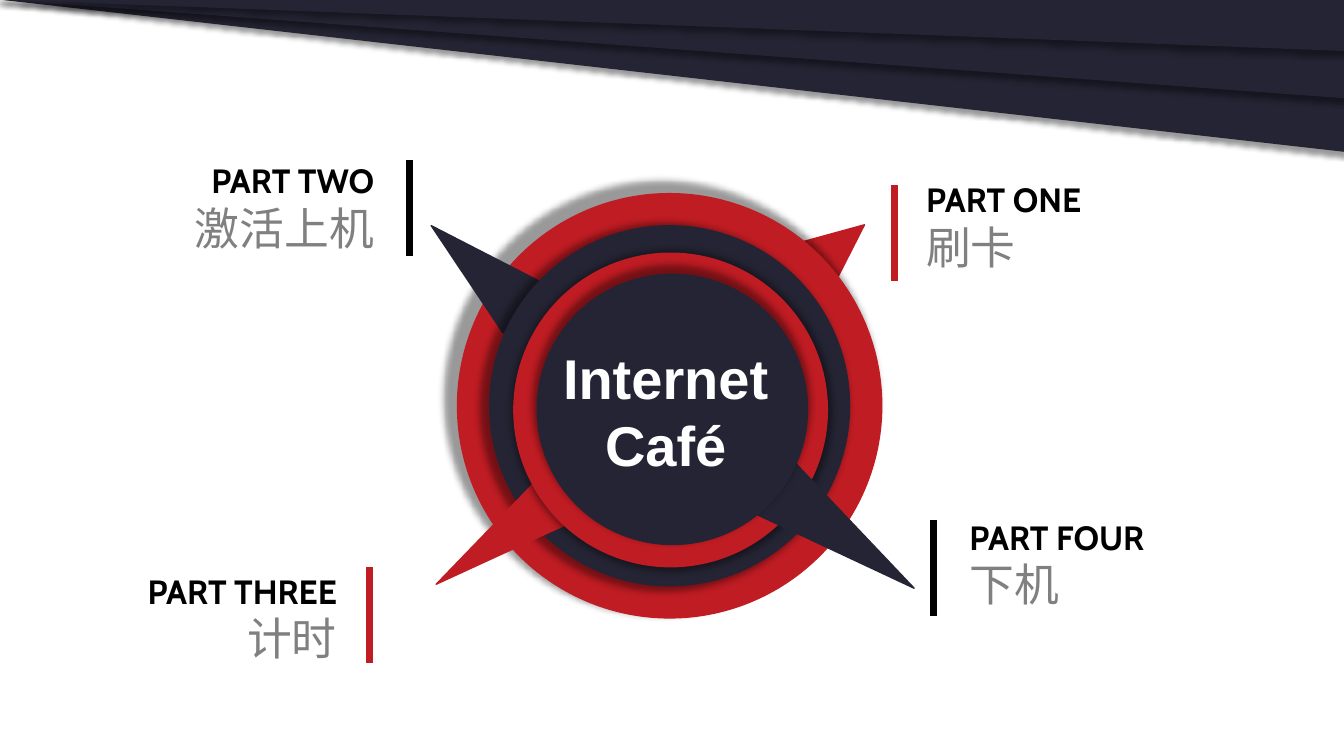
from lxml import etree
from pptx import Presentation
from pptx.dml.color import RGBColor
from pptx.enum import shapes, text
from pptx.oxml import ns
from pptx.util import Cm, Pt

RED = RGBColor(0xC0, 0x1C, 0x23)
NAVY = RGBColor(0x25, 0x24, 0x34)
BLACK = RGBColor(0, 0, 0)
GRAY = RGBColor(0x80, 0x80, 0x80)
WHITE = RGBColor(0xFF, 0xFF, 0xFF)

MSO = shapes.MSO_SHAPE
LEFT, CENTER, RIGHT = text.PP_ALIGN.LEFT, text.PP_ALIGN.CENTER, text.PP_ALIGN.RIGHT
DISC_SHADOW = dict(blurRad=63500, sx=102000, sy=102000, algn="ctr", rotWithShape=0)
BANNER_SHADOW = dict(blurRad=50800, dist=38100, dir=5400000, algn="t", rotWithShape=0)


def add_shadow(sp, settings):
    effects = etree.SubElement(sp._element.spPr, ns.qn("a:effectLst"))
    shadow = etree.SubElement(effects, ns.qn("a:outerShdw"),
                              {k: str(v) for k, v in settings.items()})
    color = etree.SubElement(shadow, ns.qn("a:prstClr"), val="black")
    etree.SubElement(color, ns.qn("a:alpha"), val="40000")


def add_solid(s, kind, box, color, rotation=0, shadow=None):
    sp = s.shapes.add_shape(kind, *map(Cm, box))
    sp.rotation = rotation
    sp.fill.solid()
    sp.fill.fore_color.rgb = color
    sp.line.color.rgb = color
    sp.line.width = Pt(1)
    if shadow:
        add_shadow(sp, shadow)
    else:
        sp.shadow.inherit = False
    return sp


def add_disc(s, x, y, size, color, rotation):
    add_solid(s, MSO.OVAL, (x, y, size, size), color, rotation, DISC_SHADOW)


def add_spike(s, box, color, rotation, tip=0.5):
    sp = add_solid(s, MSO.ISOSCELES_TRIANGLE, box, color, rotation)
    sp.adjustments[0] = tip


def add_banner(s, height):
    sp = add_solid(s, MSO.RIGHT_TRIANGLE, (-0.05, -0.03, 33.93, height),
                   NAVY, shadow=BANNER_SHADOW)
    xfrm = sp._element.spPr.xfrm
    xfrm.set("flipH", "1")
    xfrm.set("flipV", "1")


def add_bar(s, x, y, color):
    line = s.shapes.add_connector(shapes.MSO_CONNECTOR.STRAIGHT,
                                  Cm(x), Cm(y), Cm(x), Cm(y + 2.4))
    line.line.color.rgb = color
    line.line.width = Pt(5)
    etree.SubElement(line._element.spPr, ns.qn("a:effectLst"))


def add_line(p, content, *, size, font, color, bold=False, align=LEFT):
    p.alignment = align
    r = p.add_run()
    r.text = content
    r.font.size = Pt(size)
    r.font.bold = bold
    r.font.color.rgb = color
    r.font.name = font
    etree.SubElement(r._r.get_or_add_rPr(), ns.qn("a:ea"), typeface=font)


def add_text_frame(s, *box):
    tf = s.shapes.add_textbox(*map(Cm, box)).text_frame
    tf.word_wrap = True
    tf.auto_size = text.MSO_AUTO_SIZE.SHAPE_TO_FIT_TEXT
    return tf


def add_part(s, title, label, bar, corner, color, align):
    add_bar(s, *bar, color)
    tf = add_text_frame(s, *corner, 8.23, 2.64)
    add_line(tf.paragraphs[0], title, size=24, font="Cabin", color=BLACK,
             bold=True, align=align)
    add_line(tf.add_paragraph(), label, size=32, font="Noto Sans CJK JP",
             color=GRAY, align=align)


def main():
    prs = Presentation()
    prs.slide_width, prs.slide_height = Cm(33.87), Cm(19.05)
    s = prs.slides.add_slide(prs.slide_layouts[6])

    add_spike(s, (20.5, 5.38, 1.37, 1.55), RED, 50.8)
    add_disc(s, 11.53, 4.88, 10.69, RED, 176)
    add_spike(s, (11.23, 5.16, 1.63, 3.15), NAVY, 311.7)
    add_disc(s, 12.34, 5.69, 9.07, NAVY, 76.9)
    add_spike(s, (11.94, 11.76, 1.47, 3.89), RED, 230.7, tip=0.69)
    add_disc(s, 12.95, 6.38, 7.9, RED, 355.9)
    add_spike(s, (20.47, 11.4, 1.63, 4.32), NAVY, 125.8)
    add_disc(s, 13.54, 6.91, 6.81, NAVY, 251)

    add_part(s, "PART ONE", "刷卡", (22.53, 4.67), (23.09, 4.39), RED, LEFT)
    add_part(s, "PART TWO", "激活上机", (10.31, 4.04), (1.45, 3.91), BLACK, RIGHT)
    add_part(s, "PART FOUR", "下机", (23.52, 13.11), (24.18, 12.9), BLACK, LEFT)
    add_part(s, "PART THREE", "计时", (9.32, 14.3), (0.51, 14.25), RED, RIGHT)

    tf = add_text_frame(s, 13.64, 8.53, 6.27, 3.68)
    add_line(tf.paragraphs[0], "Internet Café", size=40, font="Arial",
             color=WHITE, bold=True, align=CENTER)

    for height in (3.84, 2.49, 1.3):
        add_banner(s, height)

    prs.save("out.pptx")


if __name__ == "__main__":
    main()
